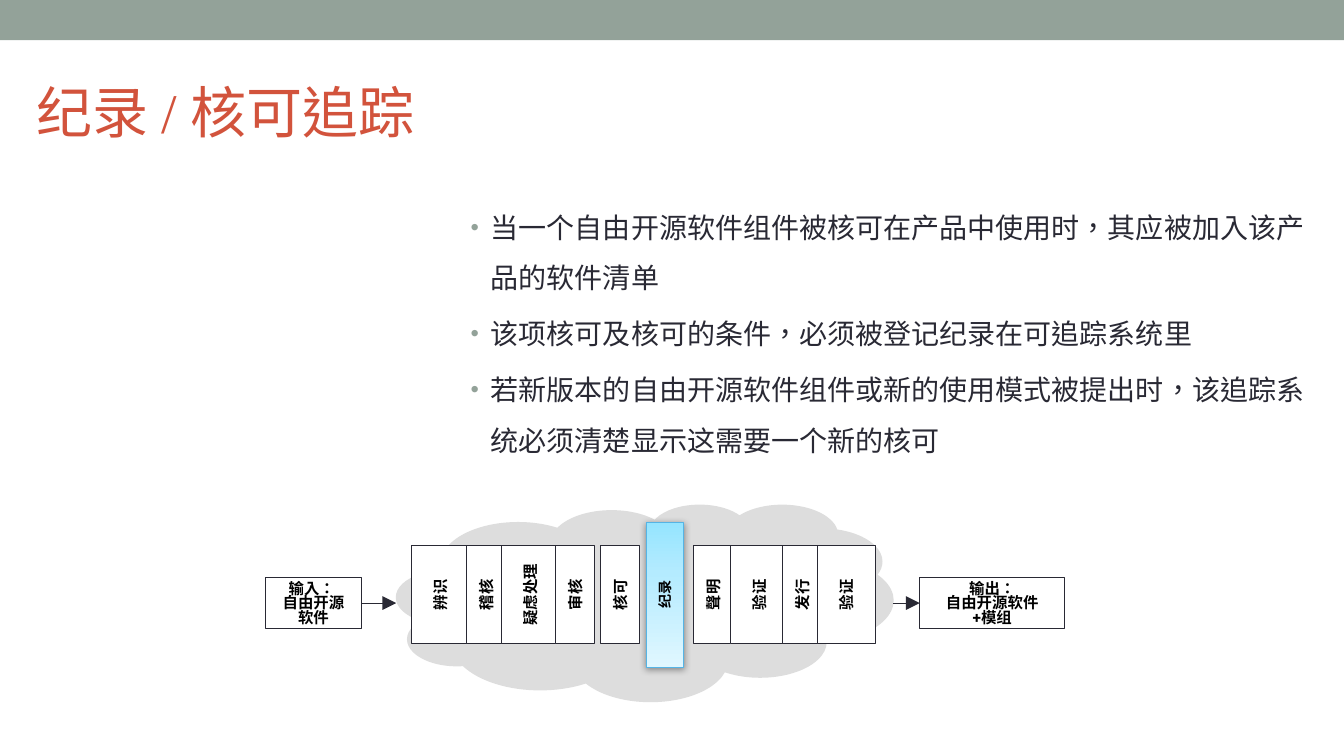
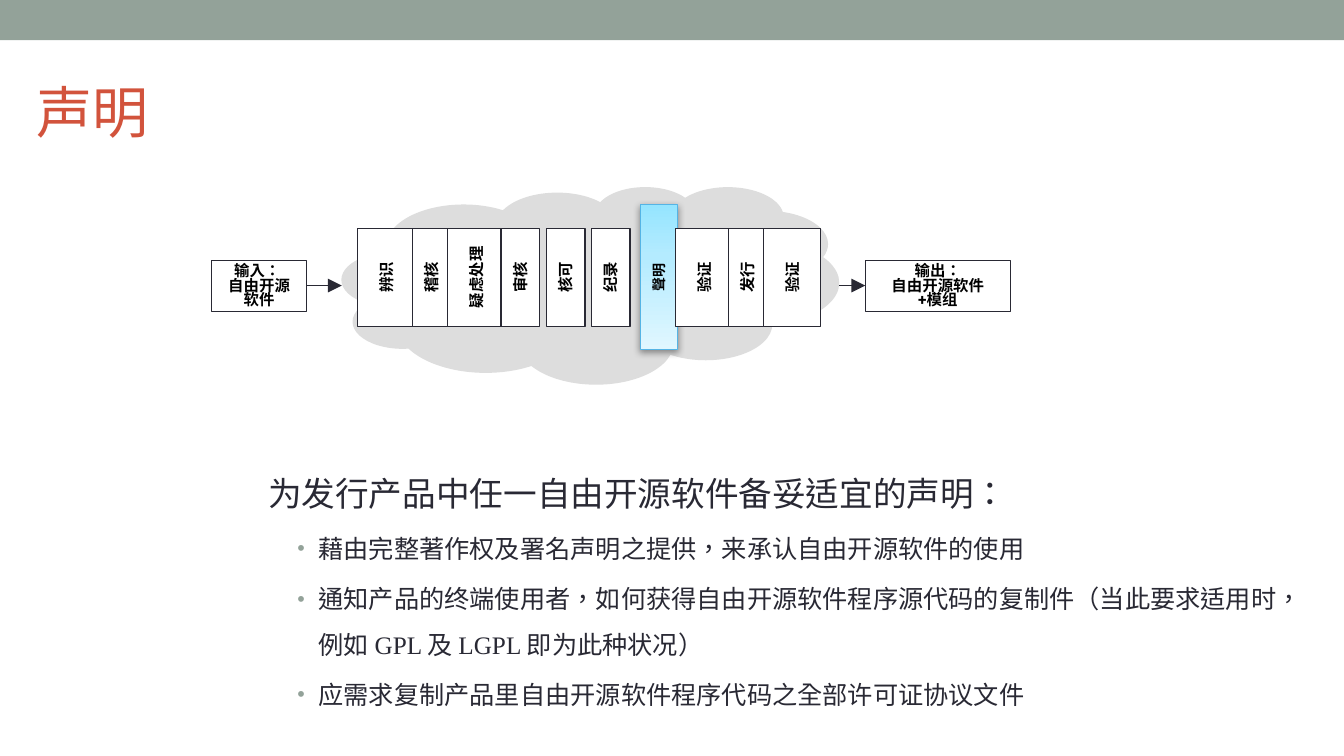
import pptx
import pptx.util
import pptx.dml.color
import pptx.enum.dml
import pptx.enum.lang
import pptx.enum.shapes
import pptx.enum.text
import pptx.oxml
import pptx.oxml.ns

Inches = pptx.util.Inches
Pt = pptx.util.Pt
RGBColor = pptx.dml.color.RGBColor
Shape = pptx.enum.shapes.MSO_SHAPE
Align = pptx.enum.text.PP_ALIGN
Anchor = pptx.enum.text.MSO_ANCHOR

SLIDE_WIDTH = Inches(13.33)
SLIDE_HEIGHT = Inches(7.5)
COLUMN = SLIDE_WIDTH / 100
ROW = SLIDE_HEIGHT / 100

SAGE = RGBColor(0x93, 0xA2, 0x99)
RUST = RGBColor(0xD2, 0x53, 0x3C)
INK = RGBColor(0x29, 0x29, 0x34)
BLACK = RGBColor(0, 0, 0)
WHITE = RGBColor(0xFF, 0xFF, 0xFF)
CLOUD_GRAY = RGBColor(0xDD, 0xDD, 0xDD)
HIGHLIGHT_LINE = RGBColor(0x55, 0xB4, 0xE5)
HIGHLIGHT_STOPS = (
    (0, RGBColor(0x95, 0xE5, 0xFF)),
    (35, RGBColor(0xB4, 0xEB, 0xFF)),
    (100, RGBColor(0xE0, 0xF7, 0xFF)),
)

SERIF = "Times New Roman"
SANS = "Roboto"
PLAIN_INSETS = (0.1, 0.05, 0.1, 0.05)
BODY_INSETS = (0.28, 0.2, 0.2, 0.24)

WIDE = 4.3
NARROW = 2.9
STEP_LENGTH = 13
STEP_MIDDLE = 12
ARROW_ROW = 13.1
CLOUD_WIDTH = 37
CLOUD_HEIGHT = 26.13
STEPS = (
    ("辨识", WIDE, 3.3),
    ("稽核", NARROW, 6.7),
    ("疑虑处理", WIDE, 10),
    ("审核", NARROW, 13.3),
    ("核可", NARROW, 16.65),
    ("纪录", NARROW, 20),
    ("聲明", NARROW, 23.6),
    ("验证", WIDE, 27),
    ("发行", NARROW, 30.2),
    ("验证", WIDE, 33.5),
)
INPUT_LINES = ("输入： ", "自由开源软件")
OUTPUT_LINES = ("输出：", "自由开源软件", "+模组")


def grid(left, top, width, height):
    return (round(left * COLUMN), round(top * ROW),
            round(width * COLUMN), round(height * ROW))


def upright(center, middle, thickness, length):
    width, height = round(length * ROW), round(thickness * COLUMN)
    return (round(center * COLUMN - width / 2),
            round(middle * ROW - height / 2), width, height)


def append_xml(parent, tag, content="", attributes=""):
    namespace = pptx.oxml.ns.nsdecls("a")
    parent.append(pptx.oxml.parse_xml(
        f"<a:{tag} {namespace} {attributes}>{content}</a:{tag}>"))


def add_box(page, kind, place, fill, line=None):
    box = page.shapes.add_shape(kind, *place)
    box.shadow.inherit = False
    box.fill.solid()
    box.fill.fore_color.rgb = fill
    if line is None:
        box.line.fill.background()
    else:
        box.line.color.rgb = line
        box.line.width = Pt(0.75)
    return box


def prepare_frame(box, insets=PLAIN_INSETS, anchor=Anchor.MIDDLE):
    frame = box.text_frame
    frame.word_wrap = True
    frame.vertical_anchor = anchor
    (frame.margin_left, frame.margin_top,
     frame.margin_right, frame.margin_bottom) = map(Inches, insets)
    return frame


def add_para(frame, number, text, size, font, color, bold=False):
    para = frame.paragraphs[0] if number == 0 else frame.add_paragraph()
    span = para.add_run()
    span.text = text
    span.font.size = Pt(size)
    span.font.name = font
    span.font.color.rgb = color
    span.font.bold = bold
    span.font.language_id = pptx.enum.lang.MSO_LANGUAGE_ID.TRADITIONAL_CHINESE
    return para


def add_label(box, lines, size=11, spacing=None, anchor=Anchor.MIDDLE):
    frame = prepare_frame(box, anchor=anchor)
    for number, text in enumerate(lines):
        para = add_para(frame, number, text, size, SANS, BLACK, True)
        para.alignment = Align.CENTER
        if spacing:
            para.line_spacing = Pt(spacing)


def add_arrow(page, start, end, row):
    arrow = page.shapes.add_connector(
        pptx.enum.shapes.MSO_CONNECTOR.STRAIGHT,
        round(start * COLUMN), round(row * ROW),
        round(end * COLUMN), round(row * ROW))
    arrow.line.color.rgb = INK
    arrow.line.width = Pt(0.75)
    append_xml(arrow.line._get_or_add_ln(), "tailEnd",
               attributes='type="triangle" w="lg" len="lg"')
    append_xml(arrow._element.spPr, "effectLst")


def add_highlight(page, name, center, middle):
    thickness, length = 2.8, 19.2
    bar = add_box(page, Shape.RECTANGLE,
                  grid(center - thickness / 2, middle - length / 2,
                       thickness, length), WHITE, HIGHLIGHT_LINE)
    bar.fill.gradient()
    bar.fill.gradient_angle = 270
    stops = bar._element.spPr.find(".//" + pptx.oxml.ns.qn("a:gsLst"))
    for stop in list(stops):
        stops.remove(stop)
    for position, color in HIGHLIGHT_STOPS:
        append_xml(stops, "gs", f'<a:srgbClr val="{color}"/>',
                   f'pos="{position * 1000}"')
    effects = bar._element.spPr.find(pptx.oxml.ns.qn("a:effectLst"))
    append_xml(effects, "outerShdw",
               '<a:srgbClr val="000000"><a:alpha val="38000"/></a:srgbClr>',
               f'blurRad="{Pt(5)}" dist="{Pt(1.6)}" dir="5400000" '
               'rotWithShape="0"')
    label = page.shapes.add_textbox(*upright(center, middle, thickness, length))
    label.rotation = 270
    add_label(label, [name], 10)


def add_end_box(page, left, top, width, lines):
    box = add_box(page, Shape.RECTANGLE, grid(left, top, width, 6.8), WHITE, INK)
    add_label(box, lines, spacing=10.5, anchor=Anchor.TOP)


def add_process(page, left, top, current):
    cloud = add_box(page, Shape.CLOUD_CALLOUT,
                    grid(left, top, CLOUD_WIDTH, CLOUD_HEIGHT), CLOUD_GRAY)
    cloud.adjustments[0] = -0.007
    cloud.adjustments[1] = 0.116
    output_left = left + CLOUD_WIDTH + 1.95
    add_arrow(page, left + CLOUD_WIDTH, output_left, top + ARROW_ROW)
    middle = top + STEP_MIDDLE
    add_highlight(page, STEPS[current][0], left + STEPS[current][2], middle)
    for number, (name, thickness, center) in enumerate(STEPS):
        if number != current:
            step = add_box(page, Shape.RECTANGLE,
                           upright(left + center, middle, thickness, STEP_LENGTH),
                           WHITE, INK)
            step.rotation = 270
            add_label(step, [name])
    add_end_box(page, left - 9.7, top + 9.73, 7.1, INPUT_LINES)
    add_arrow(page, left - 2.6, left, top + ARROW_ROW)
    add_end_box(page, output_left, top + 9.73, 10.8, OUTPUT_LINES)


def add_body(page, place, lines, size, indent, hanging, space, heading=None):
    frame = prepare_frame(page.shapes.add_textbox(*grid(*place)),
                          BODY_INSETS, Anchor.TOP)
    first = 0
    if heading:
        add_para(frame, 0, heading, 24, SERIF, INK).line_spacing = 1.5
        first = 1
    for number, text in enumerate(lines, first):
        para = add_para(frame, number, text, size, SERIF, INK)
        para.line_spacing = 1.5
        if number:
            para.space_before = Pt(space)
        properties = para._p.get_or_add_pPr()
        properties.set("marL", str(Inches(indent)))
        properties.set("indent", str(-Inches(hanging)))
        append_xml(properties, "buClr", f'<a:srgbClr val="{SAGE}"/>')
        append_xml(properties, "buSzPct", attributes='val="85000"')
        append_xml(properties, "buFont", attributes='typeface="Arial"')
        append_xml(properties, "buChar", attributes='char="•"')


def add_page(deck, title):
    page = deck.slides.add_slide(deck.slide_layouts[6])
    add_box(page, Shape.RECTANGLE, grid(0, 0, 100, 5.33), SAGE)
    box = page.shapes.add_textbox(*grid(2, 7.5, 90, 14.4))
    add_para(prepare_frame(box), 0, title, 40, SERIF, RUST)
    return page


def main():
    deck = pptx.Presentation()
    deck.slide_width = SLIDE_WIDTH
    deck.slide_height = SLIDE_HEIGHT

    page = add_page(deck, "纪录 / 核可追踪")
    add_body(page, (32.92, 22.93, 67.08, 44.53), (
        "当一个自由开源软件组件被核可在产品中使用时，其应被加入该产品的软件清单",
        "该项核可及核可的条件，必须被登记纪录在可追踪系统里",
        "若新版本的自由开源软件组件或新的使用模式被提出时，该追踪系统必须清楚显示这需要一个新的核可",
    ), 20, 0.2, 0.2, 4)
    add_process(page, 29.48, 66.67, 5)

    page = add_page(deck, "声明")
    add_body(page, (17.85, 57.2, 82.15, 36.53), (
        "藉由完整著作权及署名声明之提供，来承认自由开源软件的使用",
        "通知产品的终端使用者，如何获得自由开源软件程序源代码的复制件（当此要求适用时，例如 GPL 及 LGPL 即为此种状况）",
        "应需求复制产品里自由开源软件程序代码之全部许可证协议文件",
    ), 18, 0.5, 0.21, 3.6, "为发行产品中任一自由开源软件备妥适宜的声明：")
    add_process(page, 25.43, 24.67, 6)

    deck.save("out.pptx")


if __name__ == "__main__":
    main()
